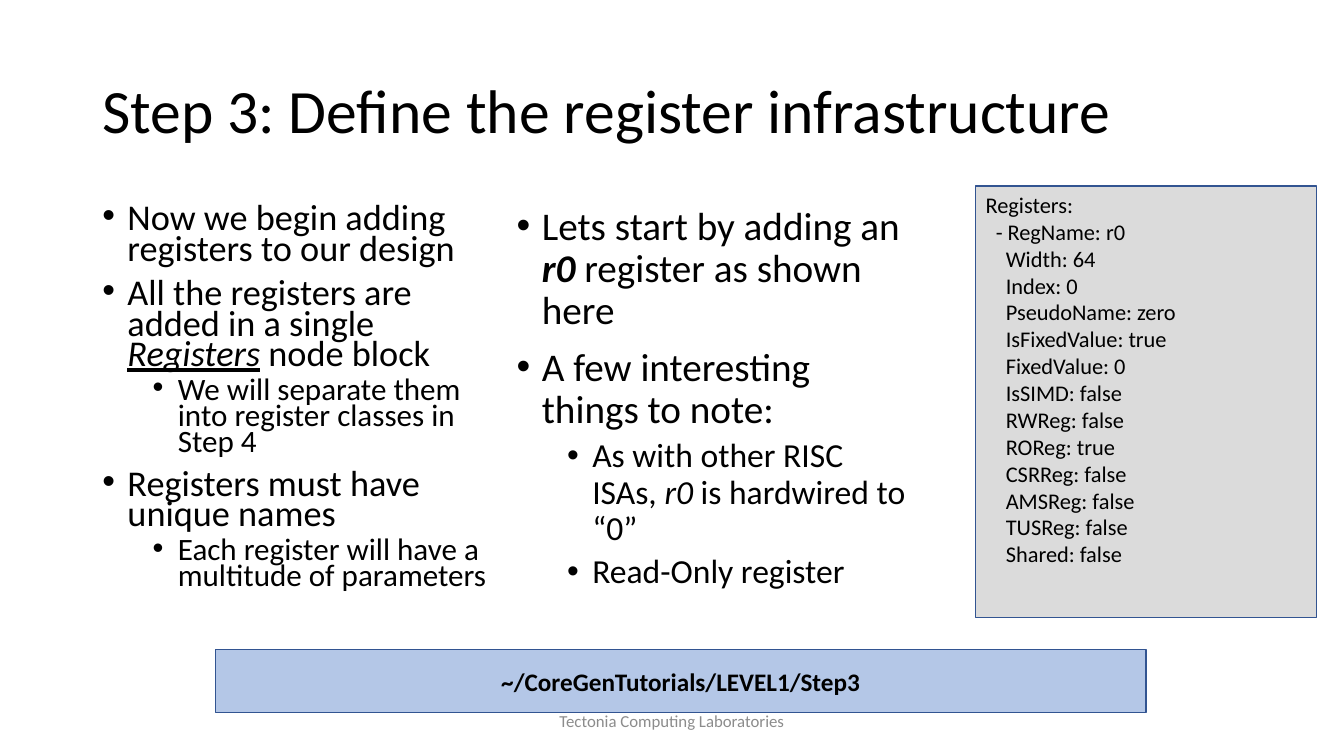
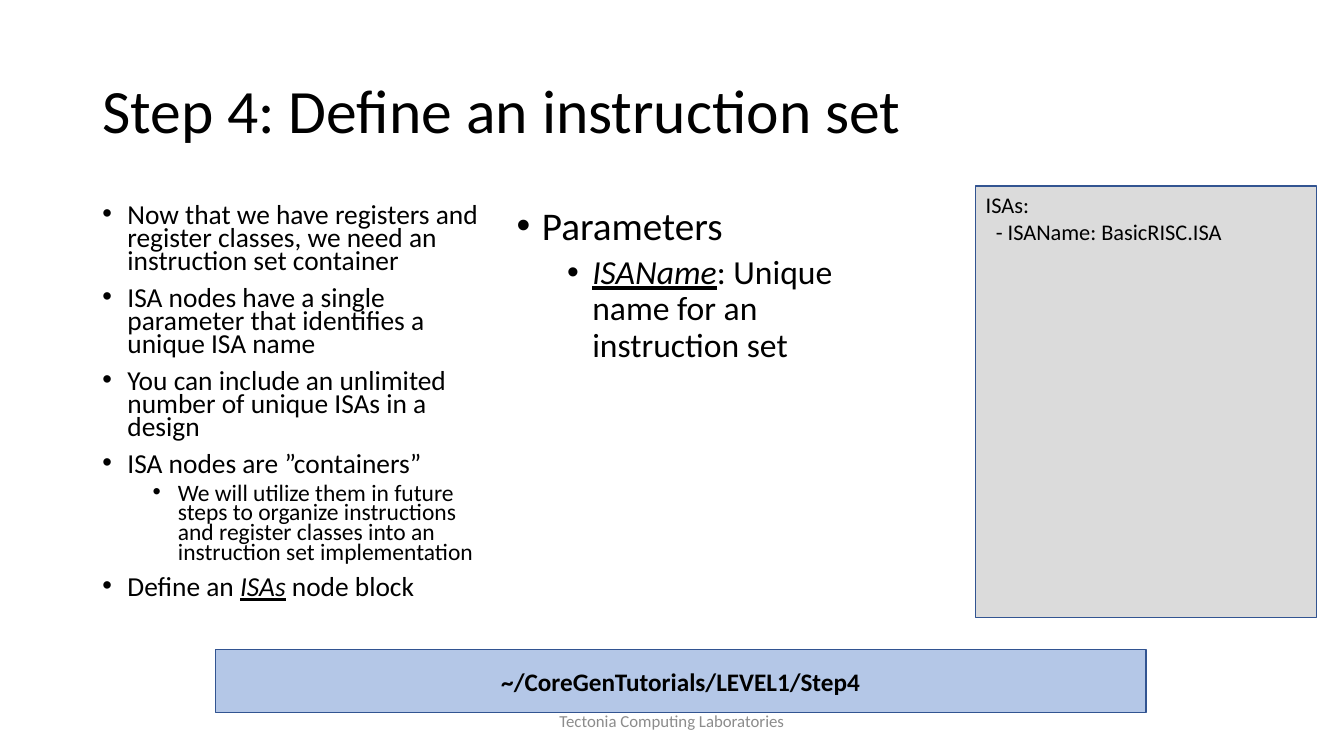
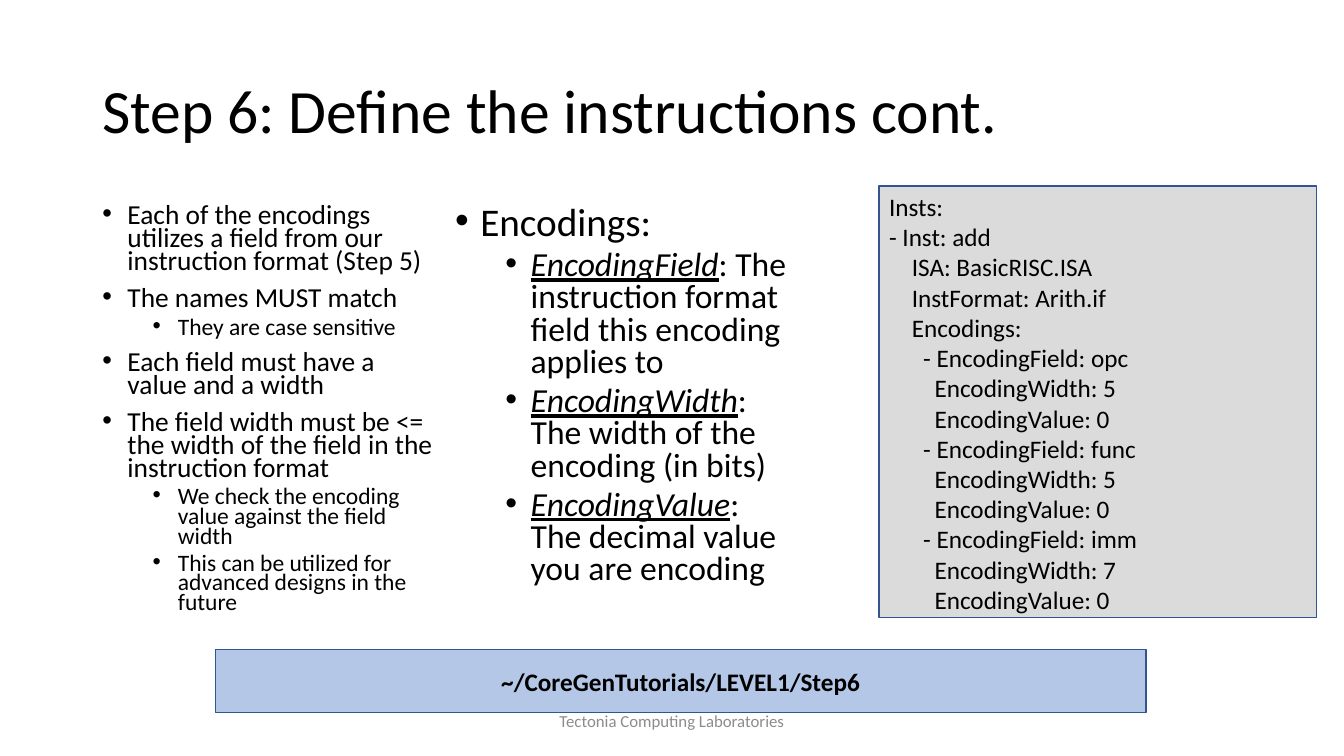
from dataclasses import dataclass

from lxml import etree
from pptx import Presentation
from pptx.dml.color import RGBColor
from pptx.enum.shapes import MSO_SHAPE
from pptx.enum.text import MSO_ANCHOR, PP_ALIGN
from pptx.oxml.ns import qn
from pptx.util import Pt

RECTANGLE = MSO_SHAPE.RECTANGLE
TOP, MIDDLE = MSO_ANCHOR.TOP, MSO_ANCHOR.MIDDLE
LEFT, CENTER = PP_ALIGN.LEFT, PP_ALIGN.CENTER


@dataclass(frozen=True)
class Theme:
    font: str = "Calibri"
    bullet_font: str = "Arial"
    text: str = "000000"
    muted: str = "8C8C8C"
    outline: str = "325491"
    path_fill: str = "B4C7E7"
    code_fill: str = "DBDBDB"
    title_size: float = 44
    path_size: float = 18
    footer_size: float = 12
    large: tuple = (28, 24)
    medium: tuple = (25.9, 22.2)
    small: tuple = (19.6, 16.8)


THEME = Theme()
SLIDE_WIDTH, SLIDE_HEIGHT = 960, 540
MARGIN = 66
COLUMN_TOP, COLUMN_HEIGHT = 143.75, 311
CODE_TOP, CODE_HEIGHT, CODE_RIGHT = 133, 308, 940.5
BULLET_INDENTS = (18, 54)
BULLET_HANGING = 18
BULLET_GAPS = (10, 5)
FOOTER = "Tectonia Computing Laboratories"


def write(paragraph, text, size, color=THEME.text, style=""):
    """Add a run; style is any mix of the letters b, i and u."""
    run = paragraph.add_run()
    run.text = text
    font = run.font
    font.name = THEME.font
    font.size = Pt(size)
    font.color.rgb = RGBColor.from_string(color)
    font.bold = "b" in style
    font.italic = "i" in style
    font.underline = "u" in style


def paragraphs(frame, items):
    """Pair each item with a paragraph, starting with the one already there."""
    for index, item in enumerate(items):
        yield (frame.add_paragraph() if index else frame.paragraphs[0]), item


def add_bullet(paragraph, level):
    paragraph.level = level
    properties = paragraph._p.get_or_add_pPr()
    properties.set("marL", str(Pt(BULLET_INDENTS[level])))
    properties.set("indent", str(-Pt(BULLET_HANGING)))
    etree.SubElement(properties, qn("a:buFont"), typeface=THEME.bullet_font)
    etree.SubElement(properties, qn("a:buChar"), char="•")


class Deck:
    def __init__(self):
        self.presentation = Presentation()
        self.presentation.slide_width = Pt(SLIDE_WIDTH)
        self.presentation.slide_height = Pt(SLIDE_HEIGHT)
        self.slide = None

    def new_slide(self):
        self.slide = self.presentation.slides.add_slide(
            self.presentation.slide_layouts[6])

    def text_box(self, left, top, width, height, anchor=TOP):
        box = self.slide.shapes.add_textbox(
            Pt(left), Pt(top), Pt(width), Pt(height))
        frame = box.text_frame
        frame.word_wrap = True
        frame.vertical_anchor = anchor
        return frame

    def panel(self, left, top, width, height, fill, anchor=TOP):
        shape = self.slide.shapes.add_shape(
            RECTANGLE, Pt(left), Pt(top), Pt(width), Pt(height))
        shape.shadow.inherit = False
        shape.fill.solid()
        shape.fill.fore_color.rgb = RGBColor.from_string(fill)
        shape.line.color.rgb = RGBColor.from_string(THEME.outline)
        shape.line.width = Pt(1)
        frame = shape.text_frame
        frame.word_wrap = True
        frame.vertical_anchor = anchor
        return frame

    def title(self, text):
        frame = self.text_box(MARGIN, 28.75, 828, 104.4, MIDDLE)
        paragraph = frame.paragraphs[0]
        paragraph.line_spacing = 0.9
        write(paragraph, text, THEME.title_size)

    def footer(self):
        paragraph = self.text_box(318, 500.5, 324, 28.75, MIDDLE).paragraphs[0]
        paragraph.alignment = CENTER
        write(paragraph, FOOTER, THEME.footer_size, color=THEME.muted)

    def path_bar(self, text):
        frame = self.panel(154, 464, 664.5, 45, THEME.path_fill, MIDDLE)
        paragraph = frame.paragraphs[0]
        paragraph.alignment = CENTER
        write(paragraph, text, THEME.path_size, style="b")

    def code(self, text, width, size):
        frame = self.panel(CODE_RIGHT - width, CODE_TOP, width, CODE_HEIGHT,
                           THEME.code_fill)
        for paragraph, line in paragraphs(frame, text.splitlines()):
            paragraph.alignment = LEFT
            write(paragraph, line, size)

    def bullets(self, left, width, items, sizes, spacing):
        """Each item is a level followed by runs: plain text or (text, style)."""
        frame = self.text_box(left, COLUMN_TOP, width, COLUMN_HEIGHT)
        for paragraph, (level, *runs) in paragraphs(frame, items):
            add_bullet(paragraph, level)
            paragraph.line_spacing = spacing
            first = paragraph._p is frame.paragraphs[0]._p
            paragraph.space_before = Pt(0 if first else BULLET_GAPS[level])
            for run in runs:
                text, style = (run, "") if isinstance(run, str) else run
                write(paragraph, text, sizes[level], style=style)

    def step(self, number, title, left_items, left_sizes, right_items, code,
             column_width=296, right_spacing=0.9, code_width=243.5,
             code_size=16):
        self.new_slide()
        self.title(f"Step {number}: {title}")
        self.bullets(MARGIN, column_width, left_items, left_sizes, 0.7)
        self.footer()
        self.path_bar(f"~/CoreGenTutorials/LEVEL1/Step{number}")
        self.code(code, code_width, code_size)
        self.bullets(MARGIN + column_width, column_width, right_items,
                     THEME.large, right_spacing)


REGISTERS_CODE = """\
Registers:
  - RegName: r0
    Width: 64
    Index: 0
    PseudoName: zero
    IsFixedValue: true
    FixedValue: 0
    IsSIMD: false
    RWReg: false
    ROReg: true
    CSRReg: false
    AMSReg: false
    TUSReg: false
    Shared: false"""

ISA_CODE = """\
ISAs:
  - ISAName: BasicRISC.ISA"""

INSTRUCTIONS_CODE = """\
Insts:
- Inst: add
    ISA: BasicRISC.ISA
    InstFormat: Arith.if
    Encodings:
      - EncodingField: opc
        EncodingWidth: 5
        EncodingValue: 0
      - EncodingField: func
        EncodingWidth: 5
        EncodingValue: 0
      - EncodingField: imm
        EncodingWidth: 7
        EncodingValue: 0"""


def main():
    deck = Deck()
    deck.step(
        3, "Define the register infrastructure",
        left_items=[
            (0, "Now we begin adding registers to our design"),
            (0, "All the registers are added in a single ",
             ("Registers", "iu"), " node block"),
            (1, "We will separate them into register classes in Step 4"),
            (0, "Registers must have unique names"),
            (1, "Each register will have a multitude of parameters"),
        ],
        left_sizes=THEME.medium,
        right_items=[
            (0, "Lets start by adding an ", ("r0 ", "bi"),
             "register as shown here"),
            (0, "A few interesting things to note:"),
            (1, "As with other RISC ISAs, ", ("r0", "i"),
             " is hardwired to “0”"),
            (1, "Read-Only register"),
        ],
        code=REGISTERS_CODE)
    deck.step(
        4, "Define an instruction set",
        left_items=[
            (0, "Now that we have registers and register classes, we need an "
                "instruction set container"),
            (0, "ISA nodes have a single parameter that identifies a unique "
                "ISA name"),
            (0, "You can include an unlimited number of unique ISAs in a "
                "design"),
            (0, "ISA nodes are ”containers”"),
            (1, "We will utilize them in future steps to organize "
                "instructions and register classes into an instruction set "
                "implementation"),
            (0, "Define an ", ("ISAs", "iu"), " node block"),
        ],
        left_sizes=THEME.small,
        right_items=[
            (0, "Parameters"),
            (1, ("ISAName", "iu"), ": Unique name for an instruction set"),
        ],
        code=ISA_CODE)
    deck.step(
        6, "Define the instructions cont.",
        left_items=[
            (0, "Each of the encodings utilizes a field from our instruction "
                "format (Step 5)"),
            (0, "The names MUST match"),
            (1, "They are case sensitive"),
            (0, "Each field must have a value and a width"),
            (0, "The field width must be <= the width of the field in the "
                "instruction format"),
            (1, "We check the encoding value against the field width"),
            (1, "This can be utilized for advanced designs in the future"),
        ],
        left_sizes=THEME.small,
        right_items=[
            (0, "Encodings:"),
            (1, ("EncodingField", "iu"),
             ": The instruction format field this encoding applies to"),
            (1, ("EncodingWidth", "iu"),
             ": The width of the encoding (in bits)"),
            (1, ("EncodingValue", "iu"),
             ": The decimal value you are encoding"),
        ],
        code=INSTRUCTIONS_CODE,
        column_width=252, right_spacing=0.8, code_width=312.5, code_size=18)
    deck.presentation.save("out.pptx")


if __name__ == "__main__":
    main()
